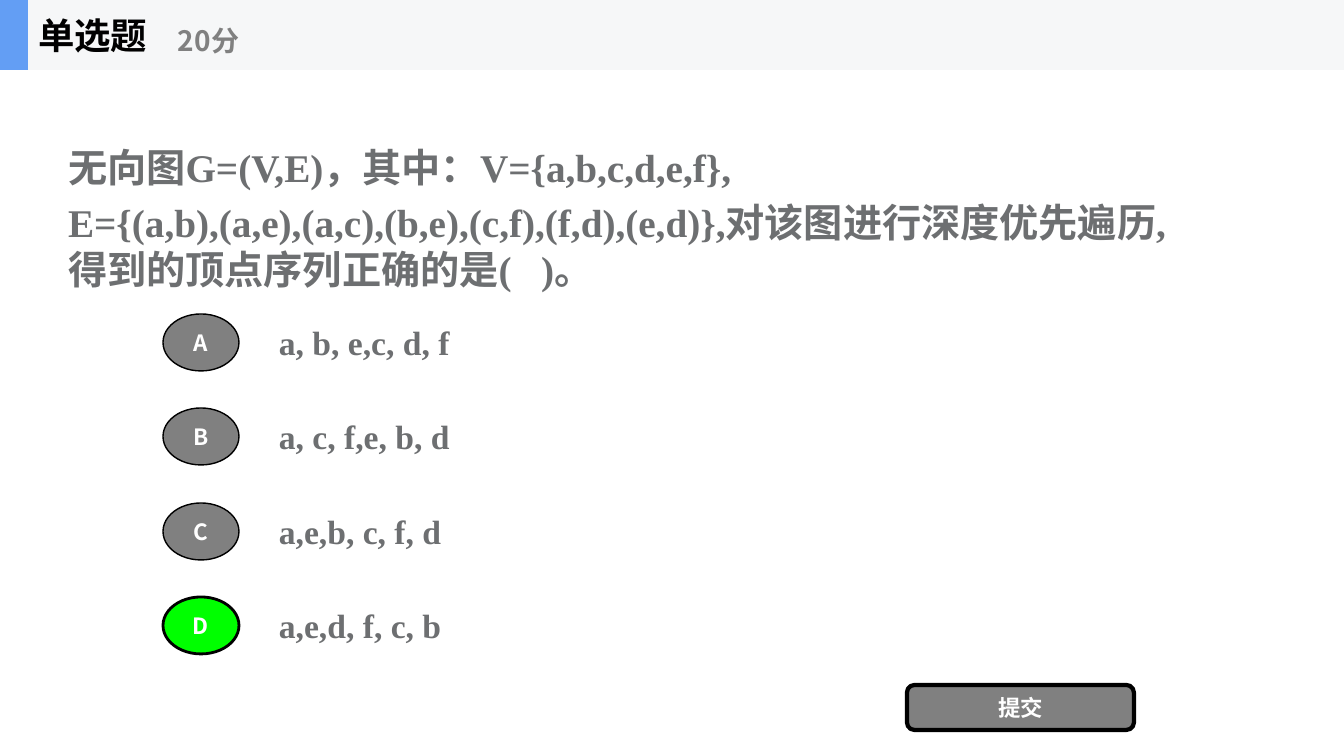
import pptx
import pptx.dml.color
import pptx.enum.shapes
import pptx.enum.text
import pptx.oxml
import pptx.oxml.ns
import pptx.util

PX = 914400 / 100.8
BLACK = pptx.dml.color.RGBColor(0x00, 0x00, 0x00)
WHITE = pptx.dml.color.RGBColor(0xFF, 0xFF, 0xFF)
GRAY = pptx.dml.color.RGBColor(0x80, 0x80, 0x80)
TEXT_GRAY = pptx.dml.color.RGBColor(0x6D, 0x6F, 0x71)
GREEN = pptx.dml.color.RGBColor(0x00, 0xFF, 0x00)
BAND = pptx.dml.color.RGBColor(0xF6, 0xF7, 0xF8)
BLUE = pptx.dml.color.RGBColor(0x63, 0x9E, 0xF4)
SANS = "Noto Sans CJK SC"
SERIF = "Times New Roman"
SHAPES = pptx.enum.shapes.MSO_SHAPE
ALIGN = pptx.enum.text.PP_ALIGN

QUESTION = [
    "无向图G=(V,E)，其中：V={a,b,c,d,e,f},",
    "E={(a,b),(a,e),(a,c),(b,e),(c,f),(f,d),(e,d)},对该图进行深度优先遍历,得到的顶点序列正确的是(   )。",
]
OPTIONS = [
    ("A", "a, b, e,c, d, f"),
    ("B", "a, c, f,e, b, d"),
    ("C", "a,e,b, c, f, d"),
    ("D", "a,e,d, f, c, b"),
]
CORRECT = "D"


def px(*lengths):
    return [pptx.util.Emu(round(length * PX)) for length in lengths]


def write_text(shape, lines, size, color, font=SANS, align=ALIGN.LEFT, gap=0):
    frame = shape.text_frame
    frame.word_wrap = True
    frame.auto_size = pptx.enum.text.MSO_AUTO_SIZE.NONE
    frame.vertical_anchor = pptx.enum.text.MSO_ANCHOR.MIDDLE
    for index, line in enumerate(lines):
        paragraph = frame.add_paragraph() if index else frame.paragraphs[0]
        paragraph.alignment = align
        paragraph.space_before = pptx.util.Pt(gap if index else 0)
        properties = paragraph._p.get_or_add_pPr()
        properties.set("marL", "0")
        properties.set("indent", "0")
        properties.append(pptx.oxml.parse_xml(
            f"<a:buNone {pptx.oxml.ns.nsdecls('a')}/>"))
        run = paragraph.add_run()
        run.text = line
        run.font.name = font
        run.font.size = pptx.util.Pt(size)
        run.font.bold = True
        run.font.color.rgb = color
        run._r.get_or_add_rPr().append(pptx.oxml.parse_xml(
            f'<a:ea {pptx.oxml.ns.nsdecls("a")} typeface="{SANS}"/>'))


def place(shape, box):
    shape.left, shape.top, shape.width, shape.height = px(*box)


def add_text(slide, box, lines, **text_format):
    write_text(slide.shapes.add_textbox(*px(*box)), lines, **text_format)


def add_block(slide, kind, box, fill, line_width=0):
    shape = slide.shapes.add_shape(kind, *px(*box))
    shape.shadow.inherit = False
    shape.fill.solid()
    shape.fill.fore_color.rgb = fill
    if line_width:
        shape.line.color.rgb = BLACK
        shape.line.width = pptx.util.Pt(line_width)
    else:
        shape.line.fill.background()
    return shape


def add_button(slide, kind, box, label, fill, line_width):
    button = add_block(slide, kind, box, fill, line_width)
    write_text(button, [label], size=16, color=WHITE, align=ALIGN.CENTER)


def add_header(slide, box):
    left, top, width, height = box
    title = slide.shapes.title
    for block_width, fill in ((width, BAND), (28, BLUE)):
        block = add_block(slide, SHAPES.RECTANGLE, (left, top, block_width, height), fill)
        title.element.addprevious(block.element)
    place(title, (left + 28, top, 280, height))
    write_text(title, ["单选题"], size=26, color=BLACK)
    add_text(slide, (left + 168, top + 12, 336, height - 13), ["20分"], size=20, color=GRAY)


def add_question(slide, box):
    body = slide.placeholders[1]
    place(body, box)
    write_text(body, QUESTION, size=28, color=TEXT_GRAY, font=SERIF, gap=5.6)


def add_options(slide, box):
    left, top, width, height = box
    pitch = height / len(OPTIONS)
    for index, (letter, answer) in enumerate(OPTIONS):
        row_top = top + int(index * pitch)
        correct = letter == CORRECT
        add_button(slide, SHAPES.OVAL, (left, row_top + 7, 76, 57), letter,
                   GREEN if correct else GRAY, 2 if correct else 1)
        add_text(slide, (left + 106, row_top, width - 106, 71), [answer],
                 size=24, color=TEXT_GRAY, font=SERIF)


def main():
    presentation = pptx.Presentation()
    presentation.slide_width, presentation.slide_height = px(1344, 756)
    slide = presentation.slides.add_slide(presentation.slide_layouts[1])
    add_header(slide, (0, 0, 1344, 70))
    add_question(slide, (58, 138, 1122, 159))
    add_options(slide, (163, 307, 1047, 378))
    add_button(slide, SHAPES.ROUNDED_RECTANGLE, (907, 685, 227, 45), "提交", GRAY, 3)
    presentation.save("out.pptx")


if __name__ == "__main__":
    main()
